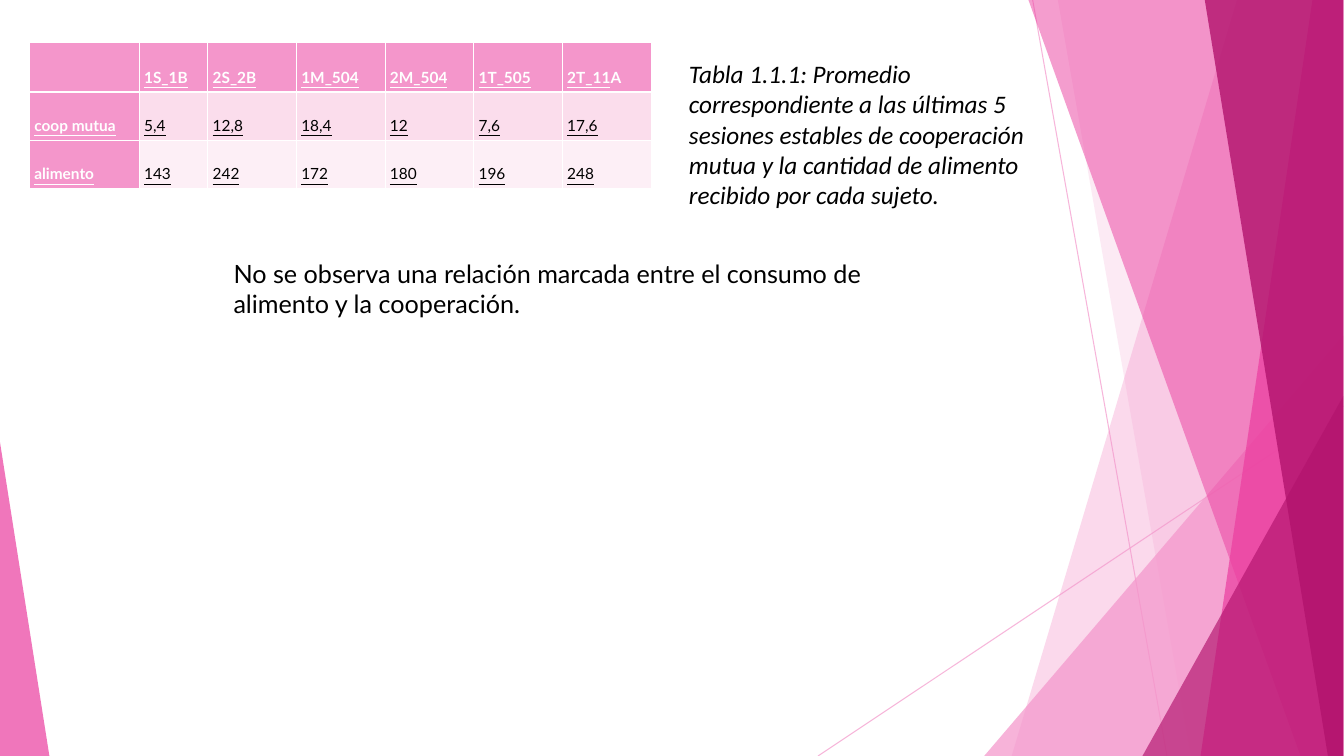
from dataclasses import dataclass

from lxml.etree import SubElement
from pptx import Presentation
from pptx.dml.color import RGBColor
from pptx.enum.shapes import MSO_CONNECTOR as CONN, MSO_SHAPE as SHAPE
from pptx.enum.text import MSO_ANCHOR as ANCHOR, MSO_AUTO_SIZE as AUTO, PP_ALIGN as ALIGN
from pptx.oxml import parse_xml
from pptx.oxml.ns import nsdecls, qn
from pptx.util import Pt


@dataclass(frozen=True)
class Theme:
    white: str = "FFFFFF"
    black: str = "000000"
    light: str = "F496CB"
    vivid: str = "EB3D9F"
    deep: str = "B2136D"
    rows: tuple = ("F496CB", "FBDDEC", "FDEFF6")
    caption_font: str = "Calibri"
    main_font: str = "Lato"
    body: int = 18
    cell: int = 11
    thin: float = 0.45
    thick: float = 1.47


T = Theme()
W, H, EDGE = 960.48, 540, 960

TABLE = [
    ["", "1S_1B", "2S_2B", "1M_504", "2M_504", "1T_505", "2T_11"],
    ["coop mutua", "5,4", "12,8", "18,4", "12", "7,6", "17,6"],
    ["alimento", "143", "242", "172", "180", "196", "248"],
]
PLAIN_TAILS = {(0, 6): "A"}
TABLE_AT = (20.9, 30.2)
COLS = [78.5, 49] + [63.36] * 5
ROWS = [35.28, 34.56, 34.56]

CAPTION = ("Tabla 1.1.1: Promedio correspondiente a las últimas 5 sesiones estables de "
           "cooperación mutua y la cantidad de alimento recibido por cada sujeto.")
FINDING = "No se observa una relación marcada entre el consumo de alimento y la cooperación."
TEXTS = [
    (CAPTION, (485.3, 38.2, 270, 115.2), dict(font=T.caption_font, italic=True)),
    (FINDING, (159.8, 180.7, 481.7, 50.4), {}),
]

LINES = [(738, 0, 834, H), (EDGE, 290, 584.6, H)]
FACETS = [
    ("band", (884, 723), T.light, 36),
    ("band", (756, 851), T.light, 20),
    ("triangle", (703.4, 256.6, 300.2, 1), T.light, 72),
    ("band", (735, 929.5), T.vivid, 50),
    ("band", (938, 858), T.vivid, 70),
    ("band", (861, 949), T.deep, 80),
    ("triangle", (816.5, 143.5, 257, 1), T.deep, 66),
    ("triangle", (0, 35.3, 224, 0), T.vivid, 70),
]


def rgb(color):
    return RGBColor.from_string(color)


def set_alpha(s, percent):
    clr = next(s._element.spPr.iter(qn("a:srgbClr")))
    SubElement(clr, qn("a:alpha"), val=str(percent * 1000))


def write(p, text, size=T.body, color=T.black, font=T.main_font,
          bold=False, italic=False, underline=False):
    r = p.add_run()
    r.text = text
    f = r.font
    f.size, f.name, f.bold, f.italic, f.underline = Pt(size), font, bold, italic, underline
    f.color.rgb = rgb(color)


def add_line(shapes, ends):
    s = shapes.add_connector(CONN.STRAIGHT, *map(Pt, ends))
    s.line.width = Pt(0.75)
    s.line.color.rgb = rgb(T.light)
    set_alpha(s, 70)
    SubElement(s._element.spPr, qn("a:effectLst"))


def add_facet(shapes, kind, geometry, color, alpha):
    if kind == "band":
        top, bottom = geometry
        fb = shapes.build_freeform(Pt(top), 0)
        fb.add_line_segments([(Pt(x), Pt(y)) for x, y in [(EDGE, 0), (EDGE, H), (bottom, H)]])
        s = fb.convert_to_shape()
    else:
        x, w, h, apex = geometry
        s = shapes.add_shape(SHAPE.ISOSCELES_TRIANGLE, Pt(x), Pt(H - h), Pt(w), Pt(h))
        s.adjustments[0] = apex
    s.shadow.inherit = False
    s.fill.solid()
    s.fill.fore_color.rgb = rgb(color)
    s.line.fill.background()
    set_alpha(s, alpha)


def add_text(shapes, text, box, style):
    tf = shapes.add_textbox(*map(Pt, box)).text_frame
    tf.word_wrap = True
    tf.auto_size = AUTO.SHAPE_TO_FIT_TEXT
    write(tf.paragraphs[0], text, **style)


def set_borders(cell, row):
    widths = dict(L=T.thin, R=T.thin, T=T.thick if row == 1 else T.thin,
                  B=T.thick if row == 0 else T.thin)
    for i, (side, width) in enumerate(widths.items()):
        cell._tc.get_or_add_tcPr().insert(i, parse_xml(
            f'<a:ln{side} {nsdecls("a")} w="{Pt(width)}"><a:solidFill>'
            f'<a:srgbClr val="{T.white}"/></a:solidFill></a:ln{side}>'))


def fill_cell(cell, row, col):
    heading = row == 0 or col == 0
    cell.fill.solid()
    cell.fill.fore_color.rgb = rgb(T.light if heading else T.rows[row])
    cell.vertical_anchor = ANCHOR.BOTTOM
    cell.margin_left = cell.margin_right = cell.margin_top = cell.margin_bottom = Pt(3.6)
    set_borders(cell, row)
    p = cell.text_frame.paragraphs[0]
    p.alignment, p.line_spacing = ALIGN.JUSTIFY, 1.5
    style = dict(size=T.cell, color=T.white if heading else T.black, bold=heading)
    if TABLE[row][col]:
        write(p, TABLE[row][col], underline=True, **style)
    if (row, col) in PLAIN_TAILS:
        write(p, PLAIN_TAILS[row, col], **style)


def add_data_table(shapes):
    size = (sum(COLS), sum(ROWS))
    table = shapes.add_table(len(ROWS), len(COLS), *map(Pt, TABLE_AT + size)).table
    for column, width in zip(table.columns, COLS):
        column.width = Pt(width)
    for row, height in enumerate(ROWS):
        table.rows[row].height = Pt(height)
        for col in range(len(COLS)):
            fill_cell(table.cell(row, col), row, col)


def main():
    """Build the slide with the food and cooperation table."""
    prs = Presentation()
    prs.slide_width, prs.slide_height = Pt(W), Pt(H)
    shapes = prs.slides.add_slide(prs.slide_layouts[6]).shapes
    for ends in LINES:
        add_line(shapes, ends)
    for facet in FACETS:
        add_facet(shapes, *facet)
    add_data_table(shapes)
    for text in TEXTS:
        add_text(shapes, *text)
    prs.save("out.pptx")


if __name__ == "__main__":
    main()
